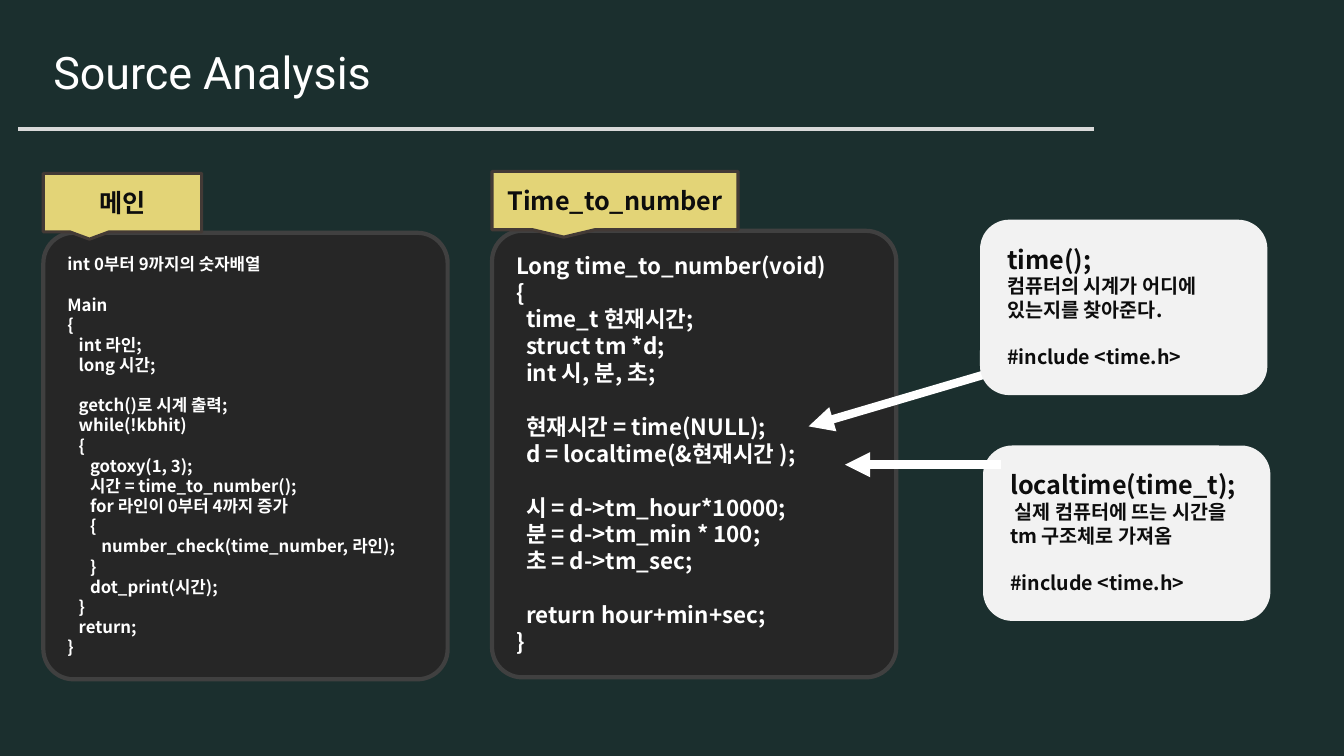
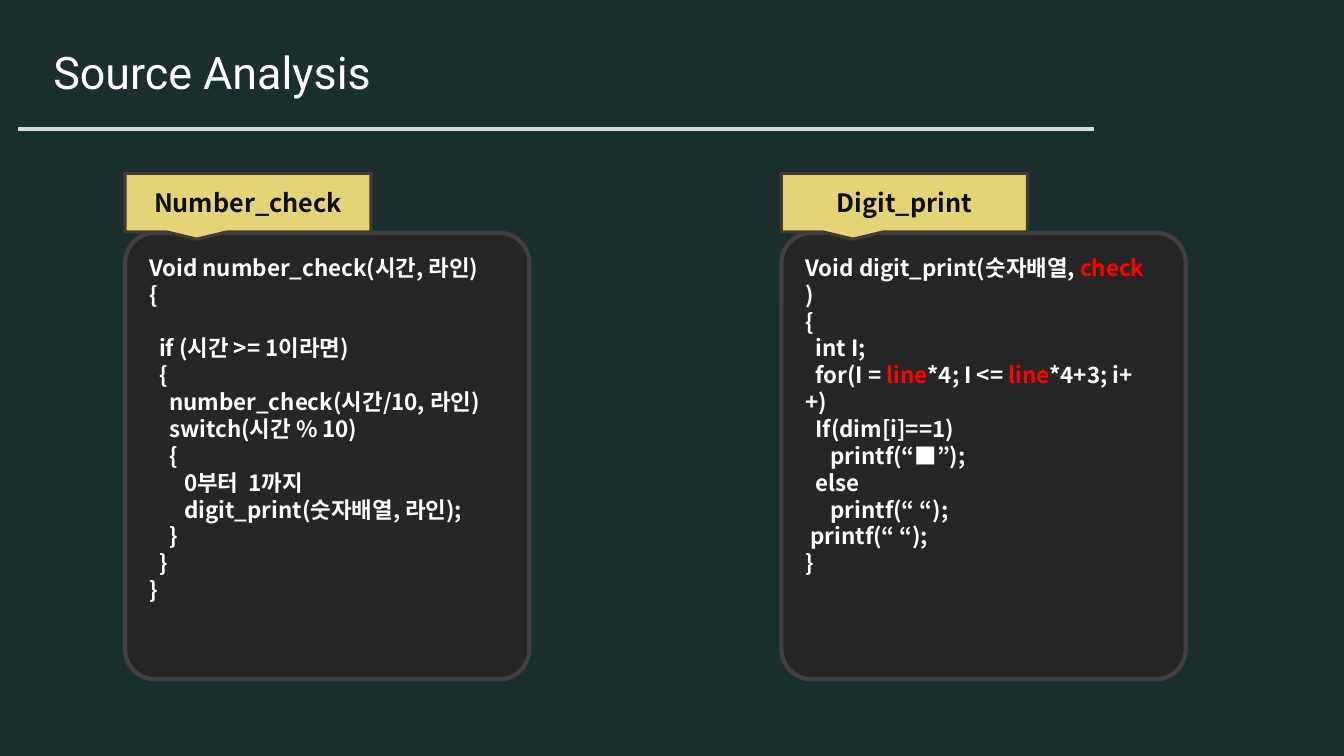
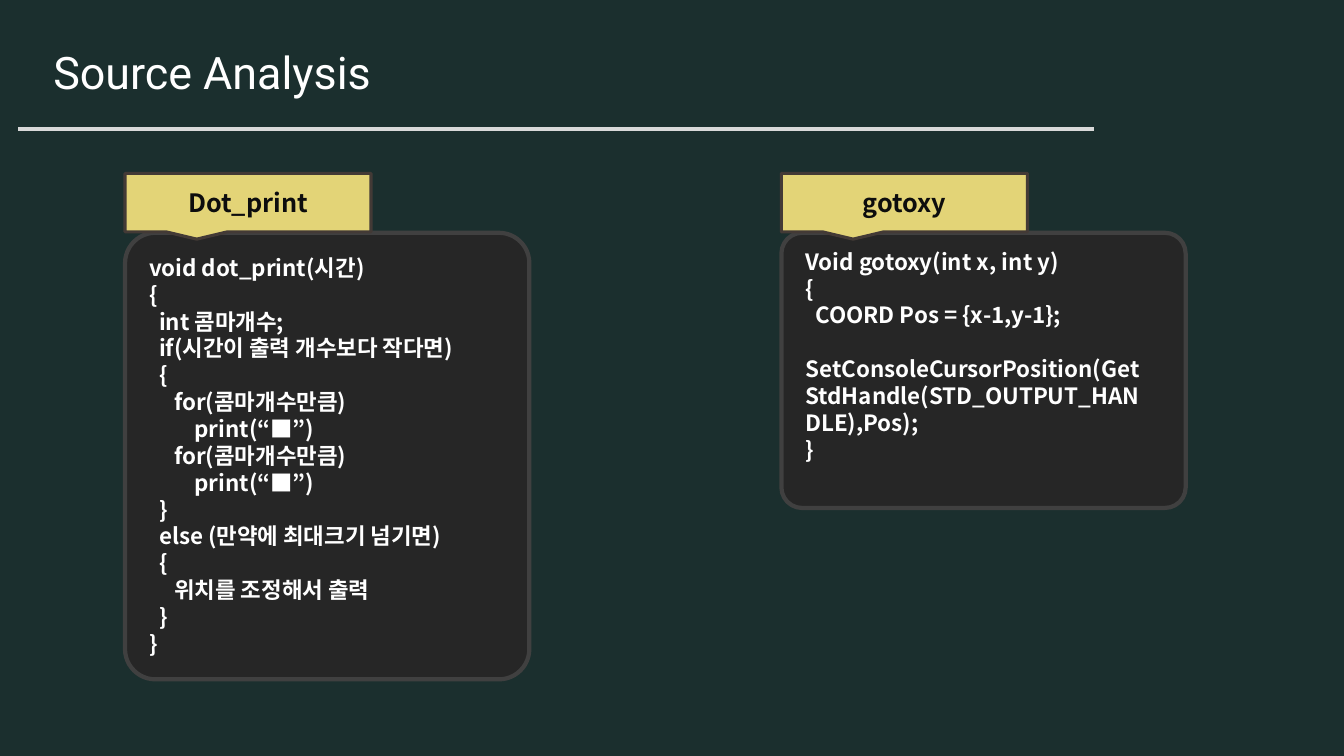
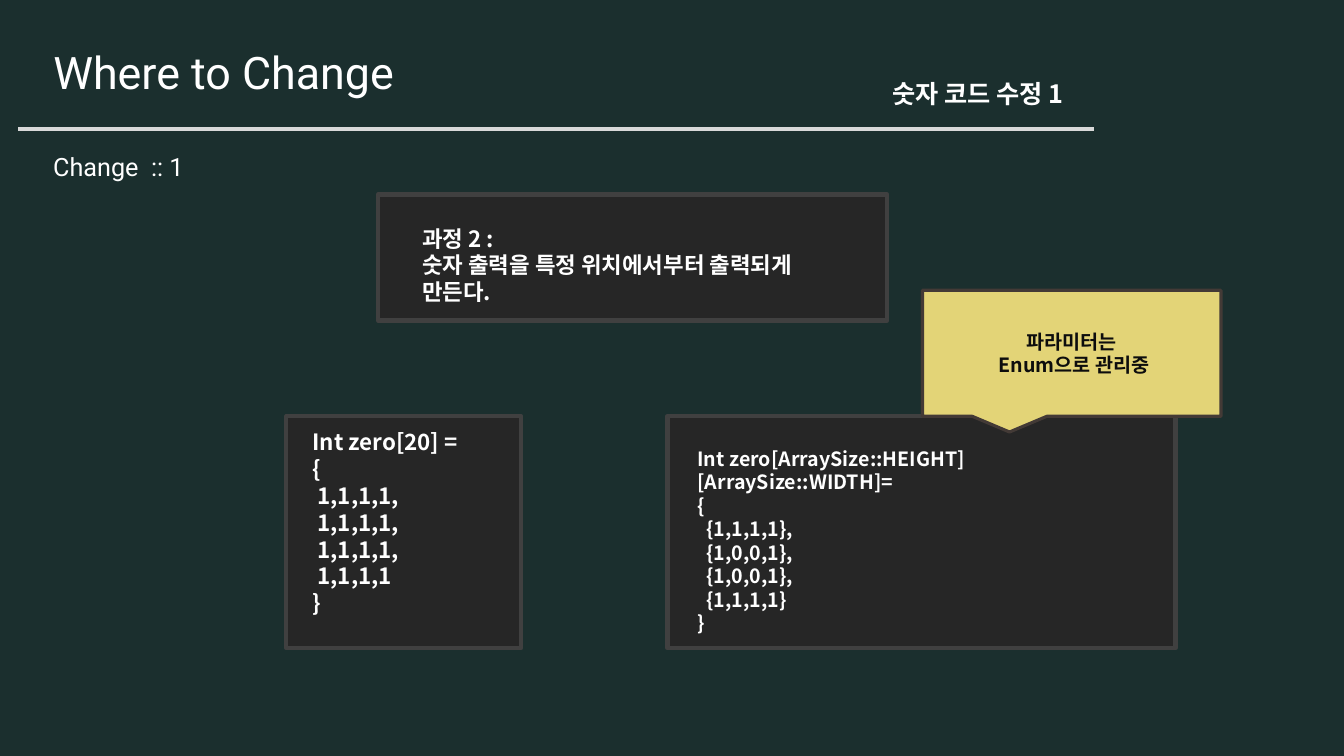
"""Builds four slides that walk through the source of a digital clock."""
from lxml.etree import SubElement as Sub
from pptx import Presentation
from pptx.dml.color import RGBColor as RGB
from pptx.enum.shapes import MSO_CONNECTOR as Link, MSO_SHAPE as Form
from pptx.enum.text import MSO_ANCHOR as Anchor, PP_ALIGN as Align
from pptx.oxml.ns import qn
from pptx.util import Inches, Pt

GREEN = RGB(0x1B, 0x2F, 0x2E)
WHITE = RGB(0xFF, 0xFF, 0xFF)
PALE = RGB(0xF2, 0xF2, 0xF2)
SILVER = RGB(0xD9, 0xD9, 0xD9)
DARK = RGB(0x26, 0x26, 0x26)
GRAY = RGB(0x40, 0x40, 0x40)
BROWN = RGB(0x43, 0x3A, 0x36)
GOLD = RGB(0xE3, 0xD4, 0x77)
INK = RGB(0x0D, 0x0D, 0x0D)
RED = RGB(0xFF, 0x00, 0x00)
SANS = "Noto Sans CJK KR"
ROBOTO = "Roboto"
LEAD = 1.2
SPACE = 0.225
GAP = None


class Deck:
    """Holds the style and the current slide."""

    def __init__(self):
        self.prs = Presentation()
        self.prs.slide_width = Inches(13.33)
        self.prs.slide_height = Inches(7.5)
        fill = self.prs.slide_master.background.fill
        fill.solid()
        fill.fore_color.rgb = GREEN

    def page(self, title):
        """Starts a slide with its rule and title."""
        self.slide = self.prs.slides.add_slide(self.prs.slide_layouts[6])
        self.line(0.18, 1.28, 10.85, 1.28, SILVER, 2.25)
        self.text(0.43, 0.39, 4.82, 0.64, [(0, title)], 32, font=ROBOTO)

    def line(self, x1, y1, x2, y2, color, width, head=False):
        """Draws a line, with an arrowhead at its end if asked."""
        link = self.slide.shapes.add_connector(
            Link.STRAIGHT, Inches(x1), Inches(y1), Inches(x2), Inches(y2))
        link.line.color.rgb = color
        link.line.width = Pt(width)
        props = link.line._get_or_add_ln()
        if head:
            Sub(props, qn("a:tailEnd"), type="triangle")
        Sub(props.getparent(), qn("a:effectLst"))

    def shape(self, form, x, y, w, h, fill, edge=None, width=0):
        """Draws a filled shape, with an edge if asked."""
        item = self.slide.shapes.add_shape(
            form, Inches(x), Inches(y), Inches(w), Inches(h))
        item.shadow.inherit = False
        item.fill.solid()
        item.fill.fore_color.rgb = fill
        if edge is None:
            item.line.fill.background()
        else:
            item.line.color.rgb = edge
            item.line.width = Pt(width)
        return item

    def run(self, para, words, size, color, font):
        """Adds one run to a paragraph."""
        run = para.add_run()
        run.text = words
        run.font.size = Pt(size)
        run.font.bold = font == SANS
        run.font.color.rgb = color
        run.font.name = font
        Sub(run.font._element, qn("a:ea"), typeface=font)

    def fill(self, frame, lines, size, color=WHITE, font=SANS, first=None,
             align=Align.LEFT):
        """Writes lines of (indent in spaces, run, run...) into a frame."""
        frame.word_wrap = True
        rows = [line for line in lines if line is not GAP]
        paras = [frame.paragraphs[0]]
        paras += [frame.add_paragraph() for _ in rows[1:]]
        queue = iter(paras)
        gap = False
        for line in lines:
            if line is GAP:
                gap = True
                continue
            para = next(queue)
            real = first if first and para is paras[0] else size
            para.alignment = align
            if font == SANS:
                para.line_spacing = Pt(real * LEAD)
            if gap:
                para.space_before = Pt(real * LEAD)
                gap = False
            indent, *runs = line
            if indent:
                props = para._p.get_or_add_pPr()
                props.set("marL", "0")
                props.set("indent", str(Pt(indent * SPACE * real)))
            for part in runs:
                words, tint = (part, color) if isinstance(part, str) else part
                self.run(para, words, real, tint, font)

    def text(self, x, y, w, h, lines, size, **style):
        """Adds a text box."""
        box = self.slide.shapes.add_textbox(
            Inches(x), Inches(y), Inches(w), Inches(h))
        self.fill(box.text_frame, lines, size, **style)

    def label(self, x, y, w, h, lines, size=18):
        """Adds a yellow callout."""
        item = self.shape(Form.RECTANGULAR_CALLOUT, x, y, w, h,
                          GOLD, BROWN, 2.25)
        item.text_frame.vertical_anchor = Anchor.MIDDLE
        self.fill(item.text_frame, lines, size, color=INK, align=Align.CENTER)

    def box(self, x, y, w, h, dx, dy, lines, size=16):
        """Adds a dark square box with text."""
        self.shape(Form.RECTANGLE, x, y, w, h, DARK, GRAY, 3)
        self.text(x + dx, y + dy, w - 2 * dx, h - 2 * dy, lines, size)

    def code(self, x, y, name, lines, size=16, wide=2.44, h=4.43, dy=0.16):
        """Adds a rounded code panel under its label."""
        panel = self.shape(Form.ROUNDED_RECTANGLE, x, y, 4.01, h,
                           DARK, GRAY, 3)
        panel.adjustments[0] = 0.075
        self.text(x + 0.14, y + dy, 3.6, h - 0.3, lines, size)
        self.label(x, y - 0.59, wide, 0.58, [(0, name)])

    def card(self, x, y, lines):
        """Adds a pale note card."""
        self.shape(Form.ROUNDED_RECTANGLE, x, y, 2.85, 1.74, PALE)
        self.text(x + 0.17, y + 0.19, 2.6, 1.35, lines, 14,
                  color=INK, first=18)


def main():
    """Builds and saves the deck."""
    deck = Deck()
    left, right, top = 1.24, 7.75, 2.31

    deck.page("Source Analysis")
    deck.code(0.43, top, "메인", [
        (0, "int 0부터 9까지의 숫자배열"),
        GAP,
        (0, "Main"),
        (0, "{"),
        (3, "int 라인;"),
        (3, "long 시간;"),
        GAP,
        (3, "getch()로 시계 출력;"),
        (3, "while(!kbhit)"),
        (3, "{"),
        (6, "gotoxy(1, 3);"),
        (6, "시간 = time_to_number();"),
        (6, "for 라인이 0부터 4까지 증가"),
        (6, "{"),
        (9, "number_check(time_number, 라인);"),
        (6, "}"),
        (6, "dot_print(시간);"),
        (3, "}"),
        (3, "return;"),
        (0, "}"),
    ], size=12, wide=1.57)
    deck.code(4.88, 2.29, "Time_to_number", [
        (0, "Long time_to_number(void)"),
        (0, "{"),
        (2, "time_t 현재시간;"),
        (2, "struct tm *d;"),
        (2, "int 시, 분, 초;"),
        GAP,
        (2, "현재시간 = time(NULL);"),
        (2, "d = localtime(&현재시간 );"),
        GAP,
        (2, "시 = d->tm_hour*10000;"),
        (2, "분 = d->tm_min * 100;"),
        (2, "초 = d->tm_sec;"),
        GAP,
        (2, "return hour+min+sec;"),
        (0, "}"),
    ])
    deck.line(9.75, 3.72, 8.02, 4.23, WHITE, 6, head=True)
    deck.card(9.72, 2.18, [
        (0, "time();"),
        (0, "컴퓨터의 시계가 어디에 있는지를 찾아준다."),
        GAP,
        (0, "#include <time.h>"),
    ])
    deck.card(9.75, 4.42, [
        (0, "localtime(time_t);"),
        (1, "실제 컴퓨터에 뜨는 시간을 tm 구조체로 가져옴"),
        GAP,
        (0, "#include <time.h>"),
    ])
    deck.line(9.93, 4.61, 8.38, 4.61, WHITE, 6, head=True)

    deck.page("Source Analysis")
    deck.code(left, top, "Number_check", [
        (0, "Void number_check(시간, 라인)"),
        (0, "{"),
        GAP,
        (2, "if (시간 >= 1이라면)"),
        (2, "{"),
        (4, "number_check(시간/10, 라인)"),
        (4, "switch(시간 % 10)"),
        (4, "{"),
        (7, "0부터  1까지"),
        (7, "digit_print(숫자배열, 라인);"),
        (4, "}"),
        (2, "}"),
        (0, "}"),
    ])
    deck.code(right, top, "Digit_print", [
        (0, "Void digit_print(숫자배열, ", ("check ", RED), ")"),
        (0, "{"),
        (2, "int I;"),
        (2, "for(I = ", ("line", RED), "*4; I <= ", ("line", RED),
         "*4+3; i++)"),
        (2, "If(dim[i]==1)"),
        (5, "printf(“■”);"),
        (2, "else"),
        (5, "printf(“ “);"),
        (1, "printf(“ “);"),
        (0, "}"),
    ])

    deck.page("Source Analysis")
    deck.code(left, top, "Dot_print", [
        (0, "void dot_print(시간)"),
        (0, "{"),
        (2, "int 콤마개수;"),
        (2, "if(시간이 출력 개수보다 작다면)"),
        (2, "{"),
        (5, "for(콤마개수만큼)"),
        (9, "print(“■”)"),
        (5, "for(콤마개수만큼)"),
        (9, "print(“■”)"),
        (2, "}"),
        (2, "else (만약에 최대크기 넘기면)"),
        (2, "{"),
        (5, "위치를 조정해서 출력"),
        (2, "}"),
        (0, "}"),
    ])
    deck.code(right, top, "gotoxy", [
        (0, "Void gotoxy(int x, int y)"),
        (0, "{"),
        (2, "COORD Pos = {x-1,y-1};"),
        GAP,
        (0, "SetConsoleCursorPosition(GetStdHandle(STD_OUTPUT_HANDLE),Pos);"),
        (0, "}"),
    ], h=2.73, dy=0.1)

    deck.page("Where to Change")
    deck.box(3.75, 1.93, 5.05, 1.25, 0.34, 0.25, [
        (0, "과정 2 :"),
        (0, "숫자 출력을 특정 위치에서부터 출력되게 만든다."),
    ])
    deck.box(2.84, 4.13, 2.33, 2.3, 0.16, 0.07, [
        (0, "Int zero[20] ="),
        (0, "{"),
        *[(1, "1,1,1,1,")] * 3,
        (1, "1,1,1,1"),
        (0, "}"),
    ])
    deck.box(6.62, 4.13, 5.04, 2.3, 0.2, 0.25, [
        (0, "Int zero[ArraySize::HEIGHT][ArraySize::WIDTH]="),
        (0, "{"),
        (2, "{1,1,1,1},"),
        *[(2, "{1,0,0,1},")] * 2,
        (2, "{1,1,1,1}"),
        (0, "}"),
    ], size=14)
    deck.label(9.15, 2.88, 2.96, 1.25, [
        (0, "파라미터는"),
        (0, " Enum으로 관리중"),
    ], size=14)
    deck.text(0.43, 1.45, 2.06, 0.4, [(0, "Change  :: 1")], 18, font=ROBOTO)
    deck.text(8.75, 0.73, 3.44, 0.4, [(0, "숫자 코드 수정 1")], 18)

    deck.prs.save("out.pptx")


if __name__ == "__main__":
    main()
